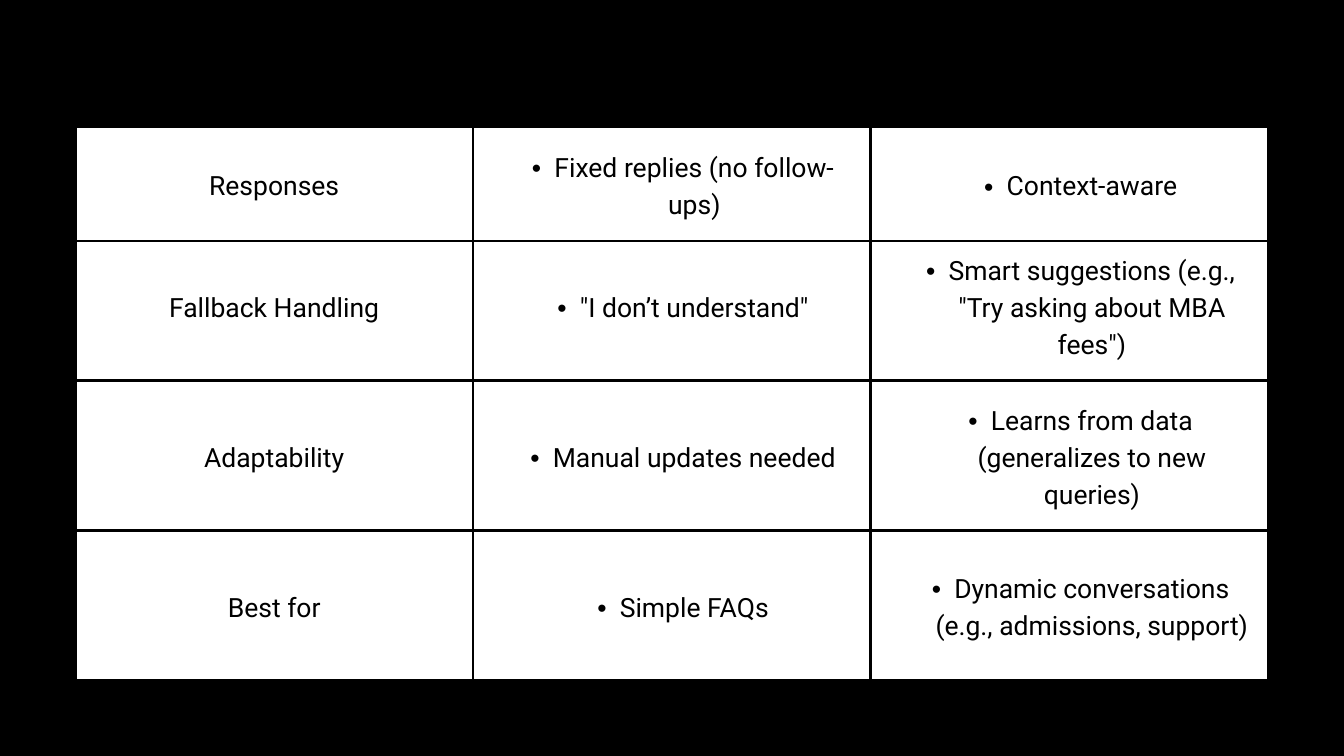
from lxml import etree
from pptx import Presentation
from pptx.dml.color import RGBColor
from pptx.enum.text import MSO_ANCHOR, PP_ALIGN
from pptx.oxml.ns import qn
from pptx.util import Cm, Pt

CENTER, MIDDLE = PP_ALIGN.CENTER, MSO_ANCHOR.MIDDLE
COLORS = {"background": "000000", "cell": "FFFFFF", "ink": "000000"}
FONT = {"name": "Roboto", "size": Pt(28.4), "bold": False}
CELL = {"margin_left": Cm(0.53), "margin_right": Cm(0.53), "margin_top": Cm(0.53),
        "margin_bottom": Cm(0.53), "vertical_anchor": MIDDLE}

LEFT, COL_W, COLS = Cm(2.85), Cm(15.03), 3
# top, row height, rows; the later table lies in front
TABLES = [
    (Cm(8.71), Cm(5.67), [
        ("Fallback Handling", "\"I don’t understand\"",
         "Smart suggestions (e.g., \"Try asking about MBA fees\")"),
        ("Adaptability", "Manual updates needed",
         "Learns from data (generalizes to new queries)"),
        ("Best for", "Simple FAQs",
         "Dynamic conversations (e.g., admissions, support)"),
    ]),
    (Cm(4.78), Cm(4.34), [
        ("Responses", "Fixed replies (no follow-ups)", "Context-aware"),
    ]),
]


def add_borders(cell):
    tcPr = cell._tc.get_or_add_tcPr()
    for side in ("lnL", "lnR", "lnT", "lnB"):
        ln = etree.SubElement(tcPr, qn(f"a:{side}"), w=str(Pt(3)))
        fill = etree.SubElement(ln, qn("a:solidFill"))
        etree.SubElement(fill, qn("a:srgbClr"), val=COLORS["ink"])


def add_bullet(p):
    p.level = 1
    pPr = p._p.get_or_add_pPr()
    pPr.set("marL", str(Cm(1.7)))
    pPr.set("indent", str(Cm(-0.85)))
    etree.SubElement(pPr, qn("a:buFont"), typeface="Arial")
    etree.SubElement(pPr, qn("a:buChar"), char="•")


prs = Presentation()
prs.slide_width, prs.slide_height = Cm(50.8), Cm(28.58)
s = prs.slides.add_slide(prs.slide_layouts[6])
s.background.fill.solid()
s.background.fill.fore_color.rgb = RGBColor.from_string(COLORS["background"])

for top, row_h, rows in TABLES:
    table = s.shapes.add_table(len(rows), COLS, LEFT, top,
                               COL_W * COLS, row_h * len(rows)).table
    table.first_row = table.horz_banding = False
    for col in table.columns:
        col.width = COL_W
    for i, texts in enumerate(rows):
        table.rows[i].height = row_h
        for j, text in enumerate(texts):
            cell = table.cell(i, j)
            for name, value in CELL.items():
                setattr(cell, name, value)
            add_borders(cell)
            cell.fill.solid()
            cell.fill.fore_color.rgb = RGBColor.from_string(COLORS["cell"])
            p = cell.text_frame.paragraphs[0]
            if j > 0:
                add_bullet(p)
            p.alignment, p.line_spacing = CENTER, Pt(39.8)
            r = p.add_run()
            r.text = text
            for name, value in FONT.items():
                setattr(r.font, name, value)
            r.font.color.rgb = RGBColor.from_string(COLORS["ink"])

prs.save("out.pptx")
